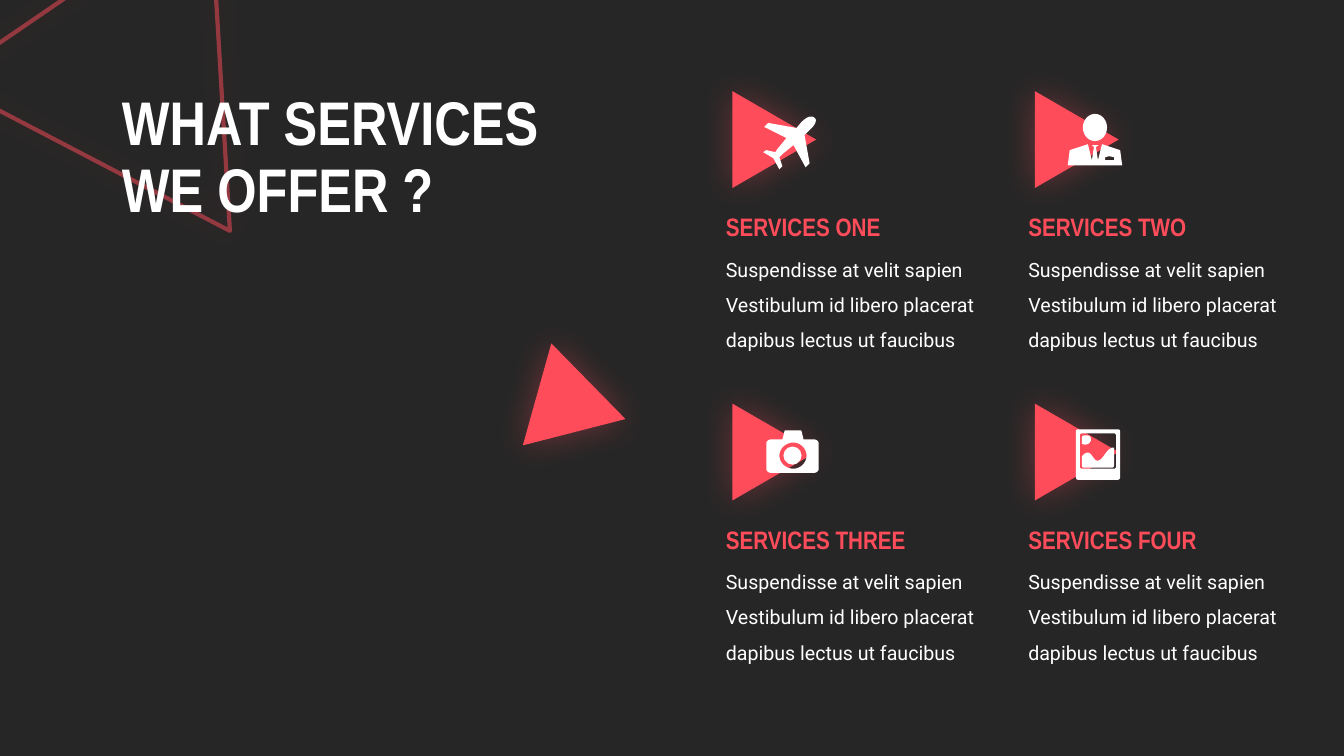
from dataclasses import dataclass

from lxml import etree
from pptx import Presentation
from pptx import util as u
from pptx.dml import color
from pptx.enum import shapes, text
from pptx.oxml import ns


@dataclass(frozen=True)
class Theme:
    dark: str = "262626"
    accent: str = "FF4C5B"
    white: str = "FFFFFF"
    heading_font: str = "Arial Narrow"
    body_font: str = "Roboto"
    title_size: int = 44
    heading_size: int = 18
    body_size: int = 14
    glow_blur: int = 25
    glow_alpha: int = 35


def rgb(value):
    return color.RGBColor.from_string(value)


def add_alpha(parent, percent):
    etree.SubElement(parent, ns.qn("a:alpha"), val=str(percent * 1000))


def trace(points):
    traced = [points[0]]
    for point in points[1:]:
        if len(point) == 2:
            traced.append(point)
            continue
        x0, y0 = traced[-1]
        x1, y1, x2, y2, x3, y3 = point
        for step in range(1, 9):
            t = step / 8
            s = 1 - t
            traced.append((
                s**3 * x0 + 3 * s * s * t * x1 + 3 * s * t * t * x2 + t**3 * x3,
                s**3 * y0 + 3 * s * s * t * y1 + 3 * s * t * t * y2 + t**3 * y3,
            ))
    return [(u.Inches(x), u.Inches(y)) for x, y in traced]


class SlideBuilder:
    def __init__(self, page, theme):
        self.page = page
        self.theme = theme
        page.background.fill.solid()
        page.background.fill.fore_color.rgb = rgb(theme.dark)

    def format(self, frame, size, font, tint, bold, spacing):
        frame.word_wrap = True
        for para in frame.paragraphs:
            para.alignment = text.PP_ALIGN.LEFT
            para.line_spacing = spacing
            for span in para.runs:
                span.font.size = u.Pt(size)
                span.font.name = font
                span.font.bold = bold
                span.font.color.rgb = rgb(tint)

    def title(self, words, left, top, width, height):
        box = self.page.shapes.title
        box.left, box.top = u.Inches(left), u.Inches(top)
        box.width, box.height = u.Inches(width), u.Inches(height)
        frame = box.text_frame
        frame.text = words
        frame.auto_size = text.MSO_AUTO_SIZE.NONE
        frame.vertical_anchor = text.MSO_ANCHOR.MIDDLE
        self.format(frame, self.theme.title_size, self.theme.heading_font,
                    self.theme.white, True, 0.9)
        return box

    def text(self, words, left, top, width, height, size, font, tint,
             bold=False, spacing=1.0):
        box = self.page.shapes.add_textbox(
            u.Inches(left), u.Inches(top), u.Inches(width), u.Inches(height))
        frame = box.text_frame
        frame.text = words
        frame.auto_size = text.MSO_AUTO_SIZE.SHAPE_TO_FIT_TEXT
        self.format(frame, size, font, tint, bold, spacing)

    def fill(self, shape, tint):
        shape.shadow.inherit = False
        shape.fill.solid()
        shape.fill.fore_color.rgb = rgb(tint)
        shape.line.fill.background()

    def triangle(self, left, top, width, height, rotation, outlined=False):
        theme = self.theme
        shape = self.page.shapes.add_shape(
            shapes.MSO_SHAPE.ISOSCELES_TRIANGLE, u.Inches(left), u.Inches(top),
            u.Inches(width), u.Inches(height))
        shape.rotation = rotation
        self.fill(shape, theme.accent)
        if outlined:
            shape.fill.background()
            shape.line.color.rgb = rgb(theme.accent)
            shape.line.width = u.Pt(3)
            add_alpha(shape.line._ln.find(".//" + ns.qn("a:srgbClr")), 50)
        effects = shape.element.spPr.find(ns.qn("a:effectLst"))
        glow = etree.SubElement(
            effects, ns.qn("a:outerShdw"), blurRad=str(u.Pt(theme.glow_blur)),
            dist="0", dir="0", algn="ctr", rotWithShape="0")
        tint = etree.SubElement(glow, ns.qn("a:srgbClr"), val=theme.accent)
        add_alpha(tint, theme.glow_alpha)
        return shape

    def icon(self, outlines, ellipses=()):
        canvas = self.page.shapes
        if len(outlines) + len(ellipses) > 1:
            canvas = canvas.add_group_shape().shapes
        for contours in outlines:
            first, *holes = map(trace, contours)
            builder = canvas.build_freeform(*first[0], scale=1.0)
            builder.add_line_segments(first[1:], close=True)
            for hole in holes:
                builder.move_to(*hole[0])
                builder.add_line_segments(hole[1:], close=True)
            self.fill(builder.convert_to_shape(), self.theme.white)
        for bounds in ellipses:
            shape = canvas.add_shape(
                shapes.MSO_SHAPE.OVAL, *(u.Inches(value) for value in bounds))
            self.fill(shape, self.theme.white)

    def service(self, name, words, left, top):
        theme = self.theme
        self.triangle(left + 0.1, top, 0.96, 0.83, 90)
        self.text(words, left, top + 1.42, 2.81, 1.12, theme.body_size,
                  theme.body_font, theme.white, spacing=1.5)
        self.text(name, left, top + 1.08, 2.45, 0.4, theme.heading_size,
                  theme.heading_font, theme.accent, bold=True)


PLANE = [
    (8.08, 1.17), (8.05, 1.14, 8, 1.16, 7.95, 1.21), (7.9, 1.27), (7.62, 1.22),
    (7.58, 1.26), (7.8, 1.37), (7.71, 1.48), (7.69, 1.51), (7.6, 1.49),
    (7.57, 1.51), (7.67, 1.57), (7.73, 1.68), (7.76, 1.65), (7.73, 1.56),
    (7.76, 1.53), (7.87, 1.44), (7.99, 1.66), (8.03, 1.62), (7.98, 1.34),
    (8.03, 1.29), (8.08, 1.25, 8.11, 1.19, 8.08, 1.17)]
SUIT = [
    (11.11, 1.49), (10.93, 1.43), (10.89, 1.59), (10.87, 1.46), (10.88, 1.45),
    (10.9, 1.44), (10.83, 1.44), (10.84, 1.45), (10.85, 1.46), (10.83, 1.59),
    (10.79, 1.43), (10.61, 1.49), (10.59, 1.64), (11.13, 1.64)]
POCKET = [(11.05, 1.59), (10.96, 1.59), (10.96, 1.56), (11, 1.55), (11.05, 1.56)]
CAMERA = [
    (8.08, 4.36), (7.97, 4.36), (7.95, 4.28), (7.95, 4.27, 7.94, 4.27, 7.94, 4.27),
    (7.79, 4.27), (7.79, 4.27, 7.78, 4.27, 7.78, 4.28), (7.76, 4.36), (7.64, 4.36),
    (7.62, 4.36, 7.6, 4.38, 7.6, 4.4), (7.6, 4.65),
    (7.6, 4.67, 7.62, 4.69, 7.64, 4.69), (8.08, 4.69),
    (8.1, 4.69, 8.12, 4.67, 8.12, 4.65), (8.12, 4.4),
    (8.12, 4.38, 8.1, 4.36, 8.08, 4.36)]
LENS = [
    (7.87, 4.65), (7.79, 4.65, 7.73, 4.59, 7.73, 4.52),
    (7.73, 4.45, 7.79, 4.39, 7.87, 4.39), (7.94, 4.39, 8, 4.45, 8, 4.52),
    (8, 4.59, 7.94, 4.65, 7.87, 4.65)]
HILLS = [
    (11.05, 4.44), (10.98, 4.43, 10.94, 4.57, 10.89, 4.57),
    (10.85, 4.58, 10.83, 4.49, 10.79, 4.49), (10.77, 4.49, 10.74, 4.51, 10.73, 4.53),
    (10.73, 4.62), (10.73, 4.63, 10.74, 4.64, 10.75, 4.64), (11.03, 4.64),
    (11.04, 4.64, 11.05, 4.63, 11.05, 4.62)]
SUN = [
    (10.82, 4.36), (10.82, 4.34, 10.81, 4.32, 10.79, 4.32), (10.75, 4.32),
    (10.74, 4.32, 10.73, 4.33, 10.73, 4.34), (10.73, 4.4),
    (10.74, 4.41, 10.75, 4.41, 10.77, 4.41), (10.79, 4.41, 10.82, 4.39, 10.82, 4.36)]
FRAME = [
    (11.09, 4.26), (10.69, 4.26), (10.68, 4.26, 10.67, 4.27, 10.67, 4.28),
    (10.67, 4.73), (10.67, 4.75, 10.68, 4.76, 10.69, 4.76), (11.09, 4.76),
    (11.1, 4.76, 11.11, 4.75, 11.11, 4.73), (11.11, 4.28),
    (11.11, 4.27, 11.1, 4.26, 11.09, 4.26)]
WINDOW = [
    (11.07, 4.44), (11.07, 4.63), (11.07, 4.64, 11.06, 4.65, 11.05, 4.65),
    (10.73, 4.65), (10.72, 4.65, 10.71, 4.64, 10.71, 4.63), (10.71, 4.32),
    (10.71, 4.31, 10.72, 4.3, 10.73, 4.3), (11.05, 4.3),
    (11.06, 4.3, 11.07, 4.31, 11.07, 4.32)]
SERVICES = ["SERVICES ONE", "SERVICES TWO", "SERVICES THREE", "SERVICES FOUR"]
DESCRIPTION = ("Suspendisse at velit sapien Vestibulum id libero placerat "
               "dapibus lectus ut faucibus")


def main():
    deck = Presentation()
    deck.slide_width, deck.slide_height = u.Inches(13.33), u.Inches(7.5)
    page = deck.slides.add_slide(deck.slide_layouts[0])
    subtitle = page.placeholders[1].element
    subtitle.getparent().remove(subtitle)
    slide = SlideBuilder(page, Theme())
    title = slide.title("WHAT SERVICES\vWE OFFER ?", 1.11, 0.79, 5.62, 1.58)
    corner = slide.triangle(-0.84, -0.65, 3.3, 2.75, 266.6, outlined=True)
    title.element.addprevious(corner.element)
    for index, name in enumerate(SERVICES):
        row, column = divmod(index, 2)
        slide.service(name, DESCRIPTION, 7.1 + 3 * column, 0.97 + 3.1 * row)
    slide.icon([[PLANE]])
    slide.icon([[SUIT, POCKET]], [(10.74, 1.13, 0.24, 0.27)])
    slide.icon([[CAMERA, LENS]], [(7.77, 4.43, 0.18, 0.18)])
    slide.icon([[HILLS], [SUN], [FRAME, WINDOW]])
    slide.triangle(5.24, 3.58, 1.05, 0.91, 105.6)
    deck.save("out.pptx")


if __name__ == "__main__":
    main()
